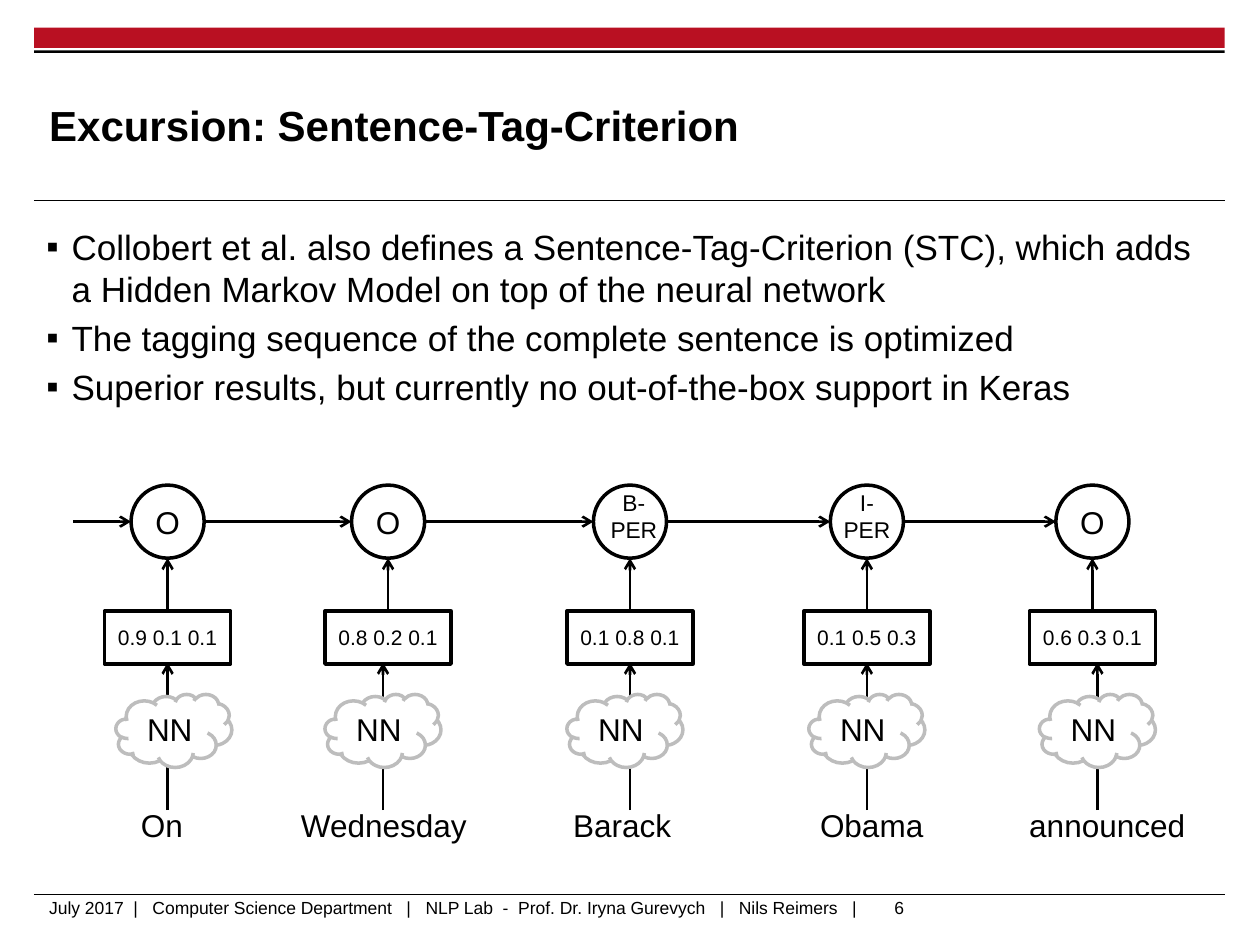
from collections import namedtuple

from lxml.etree import SubElement
from pptx import Presentation
from pptx.dml.color import RGBColor
from pptx.enum.shapes import MSO_CONNECTOR, MSO_SHAPE
from pptx.enum.text import MSO_ANCHOR, PP_ALIGN
from pptx.oxml.ns import qn
from pptx.util import Inches, Pt

BLACK, WHITE, RED, GRAY = "000000", "FFFFFF", "B91022", "BDBDBD"
Column = namedtuple("Column", "center stem cloud_left scores tag")
COLUMNS = [
    Column(1.0, 1.0, 0.59, "0.9 0.1 0.1", ["O"]),
    Column(2.75, 2.71, 2.25, "0.8 0.2 0.1", ["O"]),
    Column(4.67, 4.67, 4.17, "0.1 0.8 0.1", ["B-", "PER"]),
    Column(6.55, 6.55, 6.09, "0.1 0.5 0.3", ["I-", "PER"]),
    Column(8.34, 8.38, 7.92, "0.6 0.3 0.1", ["O"]),
]
WORDS = ["On", "Wednesday", "Barack", "Obama", "announced"]
WORD_TABS = [0.69, 1.96, 4.12, 6.08, 7.74]
BULLETS = [
    "Collobert et al. also defines a Sentence-Tag-Criterion (STC), which adds "
    "a Hidden Markov Model on top of the neural network",
    "The tagging sequence of the complete sentence is optimized",
    "Superior results, but currently no out-of-the-box support in Keras",
]
RADIUS = 0.29


def color(value):
    return RGBColor.from_string(value)


def write(shape, lines, size, align=PP_ALIGN.LEFT, anchor=MSO_ANCHOR.TOP,
          inset=None, bold=False, wrap=True):
    frame = shape.text_frame
    frame.word_wrap = wrap
    frame.vertical_anchor = anchor
    if inset is not None:
        frame.margin_left = frame.margin_right = Inches(inset)
        frame.margin_top = frame.margin_bottom = Inches(inset)
    for index, line in enumerate(lines):
        paragraph = frame.add_paragraph() if index else frame.paragraphs[0]
        paragraph.alignment = align
        run = paragraph.add_run()
        run.text = line
        run.font.name = "Arial"
        run.font.size = Pt(size)
        run.font.bold = bold
        run.font.color.rgb = color(BLACK)
    return frame.paragraphs


def add_text(slide, left, top, width, height, lines, size, **options):
    box = slide.shapes.add_textbox(
        Inches(left), Inches(top), Inches(width), Inches(height))
    return write(box, lines, size, **options)


def add_shape(slide, kind, left, top, width, height, fill=None, line=None):
    shape = slide.shapes.add_shape(
        kind, Inches(left), Inches(top), Inches(width), Inches(height))
    shape.shadow.inherit = False
    if fill:
        shape.fill.solid()
        shape.fill.fore_color.rgb = color(fill)
    else:
        shape.fill.background()
    if line:
        shape.line.color.rgb = color(line)
        shape.line.width = Pt(2)
    else:
        shape.line.fill.background()
    return shape


def add_line(slide, start, end, width=1.5, arrow=True):
    connector = slide.shapes.add_connector(
        MSO_CONNECTOR.STRAIGHT, *(Inches(value) for value in start + end))
    connector.line.color.rgb = color(BLACK)
    connector.line.width = Pt(width)
    properties = connector._element.spPr
    if arrow:
        SubElement(properties.find(qn("a:ln")), qn("a:tailEnd"), type="arrow")
    SubElement(properties, qn("a:effectLst"))


def add_frame(slide, left, top, width):
    add_shape(slide, MSO_SHAPE.RECTANGLE, left, top, width, 0.16, RED)
    add_shape(slide, MSO_SHAPE.RECTANGLE, left, top + 0.18, width, 0.02, BLACK)
    for offset in (1.37, 6.88):
        add_line(slide, (left, top + offset), (left + width, top + offset), 0.6, False)


def add_footer(slide, left, top):
    footer = ("July 2017  |   Computer Science Department   |   NLP Lab  -  "
              "Prof. Dr. Iryna Gurevych   |   Nils Reimers   |")
    add_text(slide, left, top, 8.7, 0.25, [footer], 10, inset=0)
    add_text(slide, left + 6.61, top - 0.05, 0.48, 0.27, ["6"], 10, wrap=False)


def add_bullets(slide, left, top, width, height):
    for paragraph in add_text(slide, left, top, width, height, BULLETS, 20):
        paragraph.space_before = Pt(4)
        properties = paragraph._p.get_or_add_pPr()
        properties.set("marL", str(Inches(0.2)))
        properties.set("indent", str(-Inches(0.2)))
        SubElement(properties, qn("a:buFont"), typeface="Arial")
        SubElement(properties, qn("a:buChar"), char="▪")


def add_words(slide, left, top, width, height):
    line = "".join("\t" + word for word in WORDS)
    paragraph = add_text(slide, left, top, width, height, [line], 18)[0]
    tabs = SubElement(paragraph._p.get_or_add_pPr(), qn("a:tabLst"))
    for position in WORD_TABS:
        SubElement(tabs, qn("a:tab"), pos=str(Inches(position)), algn="l")


def add_column(slide, left, top, column):
    centered = {"align": PP_ALIGN.CENTER, "anchor": MSO_ANCHOR.MIDDLE, "inset": 0}
    center, stem = left + column.center, left + column.stem
    scores = add_shape(slide, MSO_SHAPE.RECTANGLE, center - 0.5, top + 1,
                       1, 0.42, line=BLACK)
    write(scores, [column.scores], 12, **centered)
    circle = add_shape(slide, MSO_SHAPE.OVAL, center - RADIUS, top,
                       2 * RADIUS, 2 * RADIUS, line=BLACK)
    if len(column.tag) == 1:
        write(circle, column.tag, 18, **centered)
    else:
        shift = 0.03 if column.tag[0] == "B-" else 0
        add_text(slide, center - RADIUS + shift, top - 0.02, 2 * RADIUS, 0.54,
                 column.tag, 13, align=PP_ALIGN.CENTER, wrap=False)
    add_line(slide, (stem, top + 2.58), (stem, top + 1.41))
    cloud = add_shape(slide, MSO_SHAPE.CLOUD, left + column.cloud_left, top + 1.66,
                      0.92, 0.58, WHITE, GRAY)
    write(cloud, ["NN"], 18, **centered)
    add_line(slide, (center, top + 1), (center, top + 2 * RADIUS))


def add_network(slide, left, top):
    add_words(slide, left, top + 2.5, 9.42, 0.4)
    previous = left + 0.25
    for column in COLUMNS:
        add_column(slide, left, top, column)
        center = left + column.center
        add_line(slide, (previous, top + RADIUS), (center - RADIUS, top + RADIUS))
        previous = center + RADIUS


def main():
    presentation = Presentation()
    presentation.slide_width = Inches(10)
    presentation.slide_height = Inches(7.5)
    slide = presentation.slides.add_slide(presentation.slide_layouts[6])
    add_frame(slide, 0.27, 0.22, 9.45)
    add_footer(slide, 0.39, 7.12)
    add_text(slide, 0.39, 0.53, 7.52, 0.92, ["Excursion: Sentence-Tag-Criterion"],
             24, anchor=MSO_ANCHOR.MIDDLE, inset=0, bold=True)
    add_bullets(slide, 0.27, 1.74, 9.45, 5.24)
    add_network(slide, 0.33, 3.85)
    presentation.save("out.pptx")


if __name__ == "__main__":
    main()
